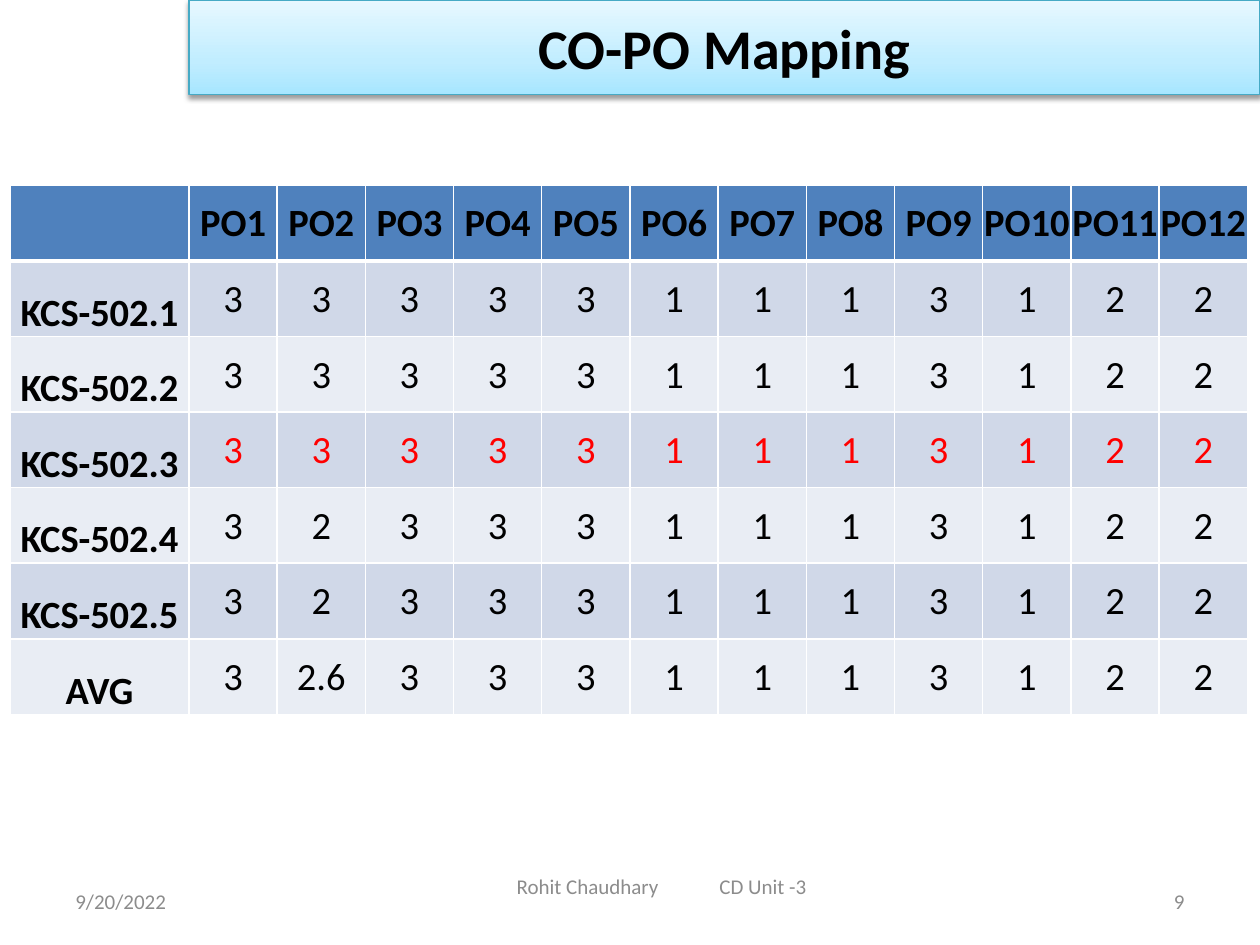
from copy import deepcopy

from lxml import etree
from pptx import Presentation
from pptx.dml.color import RGBColor
from pptx.enum import shapes, text
from pptx.oxml import ns
from pptx.util import Inches, Pt

FONT = "Calibri"
COLORS = {
    "text": "000000", "highlight": "FF0000", "footer": "8C8C8C",
    "header": "4F81BD", "band_dark": "D0D8E8", "band_light": "E9EDF4",
    "grid": "FFFFFF", "title_line": "46AAC5", "shadow": "000000",
}
TITLE = "CO-PO Mapping"
TITLE_GRADIENT = [(0, "A7E6FF"), (0.35, "C1EDFF"), (1, "E7F8FF")]
HEADINGS = [""] + [f"PO{number}" for number in range(1, 13)]
RATINGS = [
    ("KCS-502.1", "3 3 3 3 3 1 1 1 3 1 2 2"),
    ("KCS-502.2", "3 3 3 3 3 1 1 1 3 1 2 2"),
    ("KCS-502.3", "3 3 3 3 3 1 1 1 3 1 2 2"),
    ("KCS-502.4", "3 2 3 3 3 1 1 1 3 1 2 2"),
    ("KCS-502.5", "3 2 3 3 3 1 1 1 3 1 2 2"),
    ("AVG", "3 2.6 3 3 3 1 1 1 3 1 2 2"),
]
HIGHLIGHTED = "KCS-502.3"
LABEL_WIDTH, RATING_WIDTH, ROW_HEIGHT = 1.42, 0.7, 0.6
AUTHOR_INSET, UNIT_TAB = 1.6, 1.61
FOOTERS = [
    ("9/20/2022", (0.5, 6.95, 2.33, 0.4), "LEFT"),
    ("9", (7.17, 6.95, 2.33, 0.4), "RIGHT"),
    ("Rohit Chaudhary\tCD Unit -3", (2.5, 6.83, 5.5, 0.4), "LEFT"),
]


def rgb(name):
    return RGBColor.from_string(COLORS[name])


def add_element(parent, tag, **attributes):
    values = {key: str(value) for key, value in attributes.items()}
    return etree.SubElement(parent, ns.qn(tag), values)


def write(paragraph, words, size, color="text", bold=False, align="CENTER"):
    paragraph.alignment = getattr(text.PP_ALIGN, align)
    run = paragraph.add_run()
    run.text = words
    for name, value in {"name": FONT, "size": Pt(size), "bold": bold}.items():
        setattr(run.font, name, value)
    run.font.color.rgb = rgb(color)


def add_title(slide):
    shape = slide.shapes.add_shape(
        shapes.MSO_SHAPE.RECTANGLE, *map(Inches, (1.5, 0, 8.5, 0.75)))
    shape.line.color.rgb = rgb("title_line")
    shape.line.width = Pt(0.75)

    shape.fill.gradient()
    shape.fill.gradient_angle = 90
    first_stop = shape._element.spPr.find(".//" + ns.qn("a:gs"))
    first_stop.addnext(deepcopy(first_stop))
    for stop, (position, color) in zip(shape.fill.gradient_stops, TITLE_GRADIENT):
        stop.position = position
        stop.color.rgb = RGBColor.from_string(color)

    shape.shadow.inherit = False
    effects = shape._element.spPr.find(ns.qn("a:effectLst"))
    shadow = add_element(effects, "a:outerShdw", blurRad=Pt(3.1), dist=Pt(1.6),
                         dir=90 * 60000, rotWithShape=0)
    color = add_element(shadow, "a:srgbClr", val=COLORS["shadow"])
    add_element(color, "a:alpha", val=38000)

    shape.text_frame.vertical_anchor = text.MSO_ANCHOR.MIDDLE
    write(shape.text_frame.paragraphs[0], TITLE, 32, bold=True)


def set_borders(cell, top, bottom):
    properties = cell._tc.get_or_add_tcPr()
    for side, width in {"L": 1, "R": 1, "T": top, "B": bottom}.items():
        line = add_element(properties, f"a:ln{side}", w=Pt(width))
        fill = add_element(line, "a:solidFill")
        add_element(fill, "a:srgbClr", val=COLORS["grid"])


def add_ratings_table(slide):
    rows = [HEADINGS] + [[label, *values.split()] for label, values in RATINGS]
    widths = [LABEL_WIDTH] + [RATING_WIDTH] * (len(HEADINGS) - 1)
    table = slide.shapes.add_table(
        len(rows), len(widths), Inches(0.08), Inches(1.47),
        Inches(sum(widths)), Inches(ROW_HEIGHT * len(rows))).table
    table.first_row = table.horz_banding = False
    for column, width in zip(table.columns, widths):
        column.width = Inches(width)

    for r, row in enumerate(rows):
        table.rows[r].height = Inches(ROW_HEIGHT)
        band = "header" if r == 0 else "band_dark" if r % 2 else "band_light"
        for c, words in enumerate(row):
            cell = table.cell(r, c)
            set_borders(cell, top=3 if r == 1 else 1, bottom=3 if r == 0 else 1)
            cell.fill.solid()
            cell.fill.fore_color.rgb = rgb(band)
            is_label = r > 0 and c == 0
            anchor = text.MSO_ANCHOR.BOTTOM if is_label else text.MSO_ANCHOR.MIDDLE
            layout = {"vertical_anchor": anchor, "margin_left": Inches(0.01),
                      "margin_right": Inches(0.01), "margin_top": Inches(0.01),
                      "margin_bottom": 0}
            for name, value in layout.items():
                setattr(cell, name, value)
            if not words:
                continue
            paragraph = cell.text_frame.paragraphs[0]
            paragraph.space_before = paragraph.space_after = Pt(6)
            highlighted = row[0] == HIGHLIGHTED and c > 0
            write(paragraph, words, 22, "highlight" if highlighted else "text",
                  bold=r == 0 or c == 0)


def add_footers(slide):
    for words, place, align in FOOTERS:
        frame = slide.shapes.add_textbox(*map(Inches, place)).text_frame
        frame.word_wrap = True
        frame.vertical_anchor = text.MSO_ANCHOR.MIDDLE
        paragraph = frame.paragraphs[0]
        if "\t" in words:
            frame.margin_left = Inches(AUTHOR_INSET)
            tabs = add_element(paragraph._p.get_or_add_pPr(), "a:tabLst")
            add_element(tabs, "a:tab", pos=Inches(UNIT_TAB), algn="l")
        write(paragraph, words, 12, "footer", align=align)


def main():
    presentation = Presentation()
    presentation.slide_width, presentation.slide_height = Inches(10), Inches(7.5)
    slide = presentation.slides.add_slide(presentation.slide_layouts[6])
    add_title(slide)
    add_ratings_table(slide)
    add_footers(slide)
    presentation.save("out.pptx")


if __name__ == "__main__":
    main()
